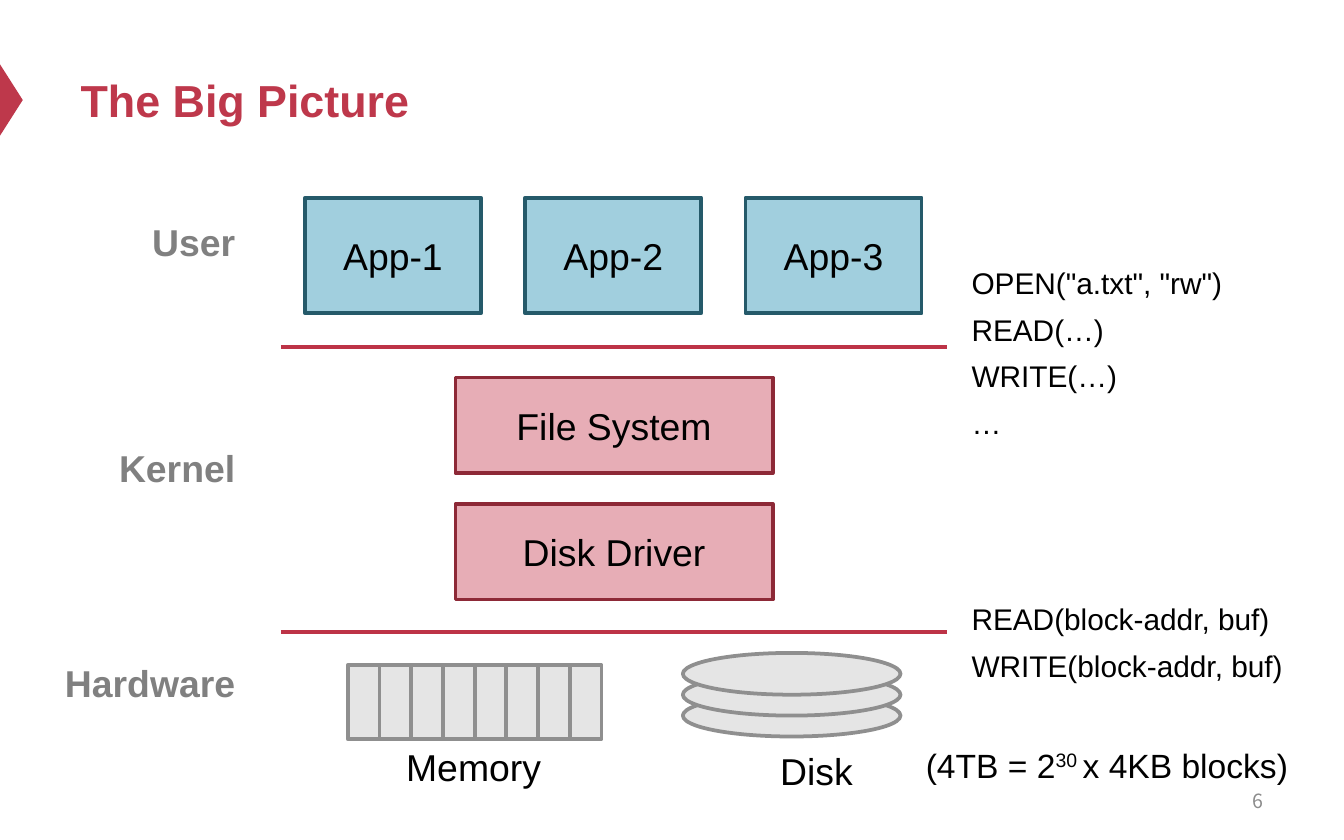
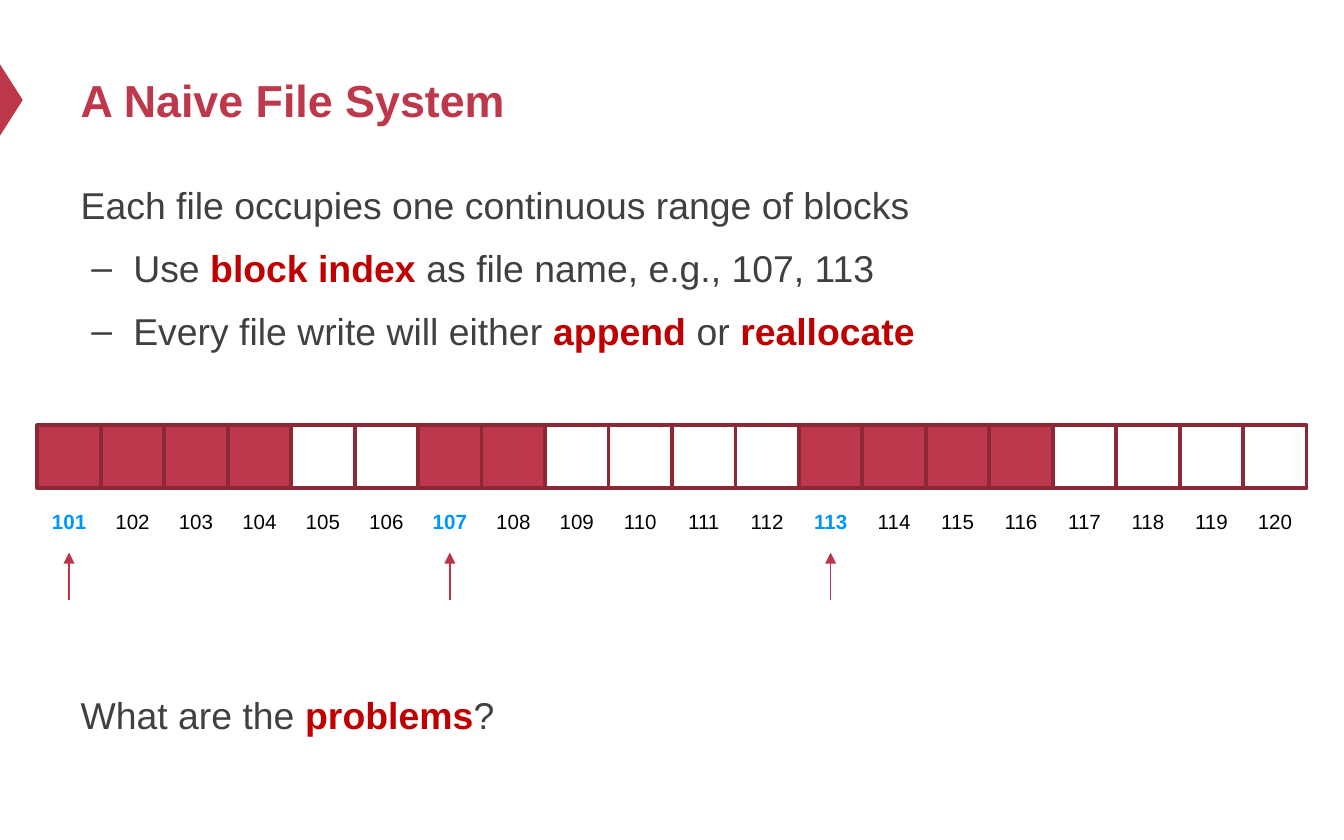
from dataclasses import dataclass

from lxml import etree
from pptx import Presentation
from pptx.dml.color import RGBColor
from pptx.enum.shapes import MSO_CONNECTOR, MSO_SHAPE
from pptx.enum.text import MSO_ANCHOR, MSO_AUTO_SIZE, PP_ALIGN
from pptx.oxml.ns import qn
from pptx.util import Pt

RECT, OVAL, WEDGE = MSO_SHAPE.RECTANGLE, MSO_SHAPE.OVAL, MSO_SHAPE.ISOSCELES_TRIANGLE
LINE = MSO_CONNECTOR.STRAIGHT
TOP, MID = MSO_ANCHOR.TOP, MSO_ANCHOR.MIDDLE
LEFT, MIDDLE, RIGHT = PP_ALIGN.LEFT, PP_ALIGN.CENTER, PP_ALIGN.RIGHT
GROW, FIXED = MSO_AUTO_SIZE.SHAPE_TO_FIT_TEXT, MSO_AUTO_SIZE.NONE
TITLE_ONLY, TITLE_BODY = 5, 1


@dataclass(frozen=True)
class Theme:
    font: str = "Arial"
    page_font: str = "Noto Sans CJK SC"
    red: str = "BE384B"
    rule: str = "BD3347"
    edge: str = "8D2937"
    pink: str = "E7ADB6"
    blue: str = "A1CFDE"
    navy: str = "255A6A"
    pale: str = "E5E5E5"
    steel: str = "8F8F8F"
    gray: str = "808080"
    page: str = "8C8C8C"
    ink: str = "000000"
    body: str = "404040"
    key: str = "C00000"
    link: str = "0096FF"
    head_size: float = 24
    text_size: float = 20
    note_size: float = 18
    code_size: float = 16
    tick_size: float = 11
    page_size: float = 10.5


def color(code):
    return RGBColor.from_string(code)


class Deck:
    def __init__(self, theme):
        self.theme = theme
        self.show = Presentation()
        self.show.slide_width, self.show.slide_height = Pt(720), Pt(450)
        self.slide = None

    def start(self, title, layout):
        self.slide = self.slide_add(layout)
        self.shape(WEDGE, (-13, 47.5, 38.2, 12.2), self.theme.red).rotation = 90
        head = self.slide.shapes.title
        self.place(head, (36, 18, 648, 70.6))
        frame = head.text_frame
        frame.text = title
        frame.auto_size, frame.vertical_anchor = FIXED, MID
        frame.paragraphs[0].alignment = LEFT
        self.style(frame.paragraphs[0], self.theme.head_size, self.theme.red, True)

    def slide_add(self, layout):
        return self.show.slides.add_slide(self.show.slide_layouts[layout])

    def place(self, item, box):
        item.left, item.top, item.width, item.height = map(Pt, box)

    def style(self, par, size, tint, bold=False, face=None):
        for run in par.runs:
            font = run.font
            font.name, font.size, font.bold = face or self.theme.font, Pt(size), bold
            font.color.rgb = color(tint)

    def mark(self, par, text):
        """Split text at asterisks into runs; return the starred ones."""
        for part in text.split("*"):
            par.add_run().text = part
        return par.runs[1::2]

    def shape(self, kind, box, fill=None, edge=None, text=""):
        item = self.slide.shapes.add_shape(kind, *map(Pt, box))
        item.shadow.inherit = False
        if fill:
            item.fill.solid()
            item.fill.fore_color.rgb = color(fill)
        else:
            item.fill.background()
        if edge:
            item.line.color.rgb = color(edge)
            item.line.width = Pt(2)
        else:
            item.line.fill.background()
        if text:
            item.text_frame.text = text
            item.text_frame.vertical_anchor = MID
            par = item.text_frame.paragraphs[0]
            par.alignment = MIDDLE
            self.style(par, self.theme.text_size, self.theme.ink)
        return item

    def text(self, box, text, size, tint=None, bold=False, align=LEFT,
             anchor=TOP, wrap=False, space=None, face=None):
        frame = self.slide.shapes.add_textbox(*map(Pt, box)).text_frame
        frame.text = text
        frame.word_wrap, frame.vertical_anchor = wrap, anchor
        frame.auto_size = FIXED if wrap else GROW
        for par in frame.paragraphs:
            par.alignment, par.line_spacing = align, space
            self.style(par, size, tint or self.theme.ink, bold, face)
        return frame

    def line(self, start, end, width, arrow=False):
        item = self.slide.shapes.add_connector(LINE, *map(Pt, start + end))
        item.line.color.rgb = color(self.theme.rule)
        item.line.width = Pt(width)
        props = item.line._get_or_add_ln()
        if arrow:
            etree.SubElement(props, qn("a:tailEnd"), type="triangle")
        etree.SubElement(props.getparent(), qn("a:effectLst"))

    def power(self, box, text):
        """Add a note whose starred part is raised."""
        frame = self.text(box, "", self.theme.note_size)
        par = frame.paragraphs[0]
        raised = self.mark(par, text)
        self.style(par, self.theme.note_size, self.theme.ink)
        for run in raised:
            run.font._element.set("baseline", "30000")

    def bullets(self, box, rows):
        """Fill the body with (level, space before, text) rows."""
        item = self.slide.placeholders[1]
        self.place(item, box)
        frame = item.text_frame
        frame.auto_size = FIXED
        for i, (level, gap, text) in enumerate(rows):
            par = frame.add_paragraph() if i else frame.paragraphs[0]
            par.level, par.line_spacing, par.space_before = level, 1.2, Pt(gap)
            keys = self.mark(par, text)
            self.style(par, self.theme.text_size, self.theme.body)
            for run in keys:
                run.font.bold = True
                run.font.color.rgb = color(self.theme.key)
            props = par._p.get_or_add_pPr()
            props.set("marL", str(Pt(28.2 * level)))
            props.set("indent", str(Pt(-22.4 * level)))
            if level:
                etree.SubElement(props, qn("a:buFont"), typeface=self.theme.font)
                etree.SubElement(props, qn("a:buChar"), char="–")
            else:
                etree.SubElement(props, qn("a:buNone"))


def layers(deck):
    look = deck.theme
    size = look.text_size
    deck.start("The Big Picture", TITLE_ONLY)
    for y in (185.8, 338.4):
        deck.line((150.5, y), (507.5, y), 2.25)
    for y, name in ((202.3, "File System"), (270, "Disk Driver")):
        deck.shape(RECT, (244, y, 170, 51.2), look.pink, look.edge, name)
    for i in range(3):
        deck.shape(OVAL, (365.8, 372.2 - 11.2 * i, 116.6, 22.4), look.pale, look.steel)
    for i in range(3):
        deck.shape(RECT, (163.4 + 118 * i, 105.9, 94.3, 62), look.blue, look.navy,
                   f"App-{i + 1}")
    for i in range(8):
        deck.shape(RECT, (186.3 + 17 * i, 356.4, 17, 39.6), look.pale, look.steel)

    for left, y, name in ((73.4, 113.8, "User"), (55.4, 234.7, "Kernel"),
                          (26.6, 350, "Hardware")):
        deck.text((left, y, 133.2 - left, 31.7), name, size, look.gray, True, RIGHT)
    deck.text((210.2, 395.3, 87.1, 31.7), "Memory", size, align=MIDDLE)
    deck.text((410.4, 397.4, 54, 31.7), "Disk", size, align=MIDDLE)
    deck.text((513.4, 132.5, 150.5, 105), 'OPEN("a.txt", "rw")\nREAD(…)\nWRITE(…)\n…',
              look.code_size, space=1.3)
    deck.text((513.4, 312.5, 183.6, 54.7), "READ(block-addr, buf)\nWRITE(block-addr, buf)",
              look.code_size, space=1.3)
    deck.text((516.2, 416.9, 167.8, 23.8), "6", look.page_size, look.page,
              align=RIGHT, anchor=MID, wrap=True, face=look.page_font)
    deck.power((488.9, 395.3, 214.6, 28.8), "(4TB = 2*30 *x 4KB blocks)")


def naive(deck):
    look = deck.theme
    deck.start("A Naive File System", TITLE_BODY)
    deck.bullets((36, 89.3, 648, 317.5), (
        (0, 12, "Each file occupies one continuous range of blocks"),
        (1, 5, "Use *block index *as file name, e.g., 107, 113"),
        (1, 5, "Every file write will either *append *or *reallocate*"),
        (0, 177, "What are the *problems*?"),
    ))
    files = {101: 4, 107: 2, 113: 4}
    used = {first + i for first, count in files.items() for i in range(count)}
    side, left, first = 34, 20, 101
    blocks = [(n, left + side * (n - first)) for n in range(first, first + 20)]
    for n, x in blocks:
        deck.shape(RECT, (x, 227.6, side, side), look.red if n in used else None, look.edge)
    for n, x in blocks:
        deck.text((x, 262, side, side), str(n), look.tick_size,
                  look.link if n in files else look.ink, n in files,
                  MIDDLE, MID, True)
    for n, x in blocks:
        if n in files:
            deck.line((x + side / 2, 321.2), (x + side / 2, 296), 0.75, True)


def main():
    deck = Deck(Theme())
    layers(deck)
    naive(deck)
    deck.show.save("out.pptx")


if __name__ == "__main__":
    main()
